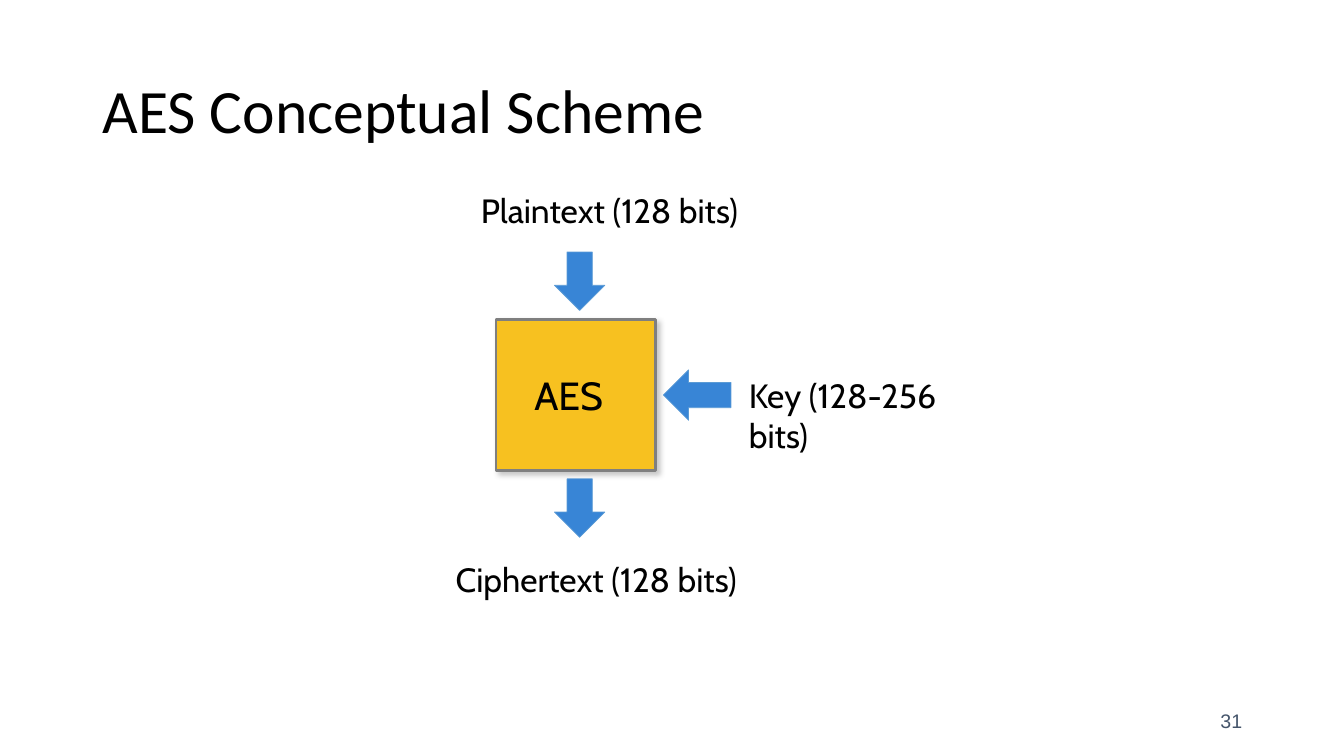
from lxml import etree
from pptx import Presentation
from pptx.dml.color import RGBColor
from pptx.enum.shapes import MSO_SHAPE as Shape
from pptx.enum.text import MSO_ANCHOR as Anchor, PP_ALIGN as Align
from pptx.oxml import parse_xml
from pptx.oxml.ns import nsdecls, qn
from pptx.util import Inches, Pt

BLACK = RGBColor(0x00, 0x00, 0x00)
SLATE = RGBColor(0x44, 0x54, 0x6A)
YELLOW = RGBColor(0xF7, 0xC1, 0x20)
GRAY = RGBColor(0x7F, 0x7F, 0x7F)
BLUE = RGBColor(0x38, 0x85, 0xD6)
LIGHT_BLUE = RGBColor(0x5B, 0x9B, 0xD5)

TITLE = ("AES Conceptual Scheme", (0.92, 0.4, 11.5, 1.45))
PAGE_NUMBER = ("31", (9.42, 6.95, 3, 0.4))
CIPHER = ("AES", (4.92, 3.17, 1.58, 1.5))
LABELS = [
    ("Plaintext (128 bits)", (4.67, 1.83, 2.78, 0.51)),
    ("Ciphertext (128 bits)", (4.42, 5.5, 3.19, 0.51)),
    ("Key (128-256 bits)", (7.33, 3.67, 2.71, 0.51)),
]
ARROWS = [
    (Shape.DOWN_ARROW, (5.5, 2.5, 0.5, 0.58)),
    (Shape.DOWN_ARROW, (5.5, 4.75, 0.5, 0.58)),
    (Shape.LEFT_ARROW, (6.58, 3.67, 0.67, 0.5)),
]


def write(shape, text, font, size, color=BLACK, align=Align.LEFT,
          anchor=Anchor.MIDDLE, wrap=True):
    frame = shape.text_frame
    frame.word_wrap = wrap
    frame.vertical_anchor = anchor
    paragraph = frame.paragraphs[0]
    paragraph.alignment = align
    run = paragraph.add_run()
    run.text = text
    run.font.name = font
    run.font.size = Pt(size)
    run.font.color.rgb = color
    return paragraph


def add_text(slide, box, *args, **options):
    shape = slide.shapes.add_textbox(*map(Inches, box))
    return write(shape, *args, **options)


def add_block(slide, kind, box, fill, line, width):
    shape = slide.shapes.add_shape(kind, *map(Inches, box))
    shape.shadow.inherit = False
    shape.fill.solid()
    shape.fill.fore_color.rgb = fill
    shape.line.color.rgb = line
    shape.line.width = Pt(width)
    return shape


def add_shadow(shape):
    effects = shape._element.spPr.find(qn("a:effectLst"))
    shadow = parse_xml(
        f'<a:outerShdw {nsdecls("a")} blurRad="{Pt(4)}" dist="{Pt(3)}" '
        'dir="2700000" algn="tl" rotWithShape="0"/>')
    color = etree.SubElement(shadow, qn("a:srgbClr"), val="808080")
    etree.SubElement(color, qn("a:alpha"), val="43000")
    effects.append(shadow)


def main():
    presentation = Presentation()
    presentation.slide_width = Inches(13.33)
    presentation.slide_height = Inches(7.5)
    slide = presentation.slides.add_slide(presentation.slide_layouts[6])

    text, box = TITLE
    add_text(slide, box, text, "Calibri", 44).line_spacing = 0.9
    text, box = PAGE_NUMBER
    add_text(slide, box, text, "Arial", 14, SLATE, Align.RIGHT)

    text, box = CIPHER
    cipher = add_block(slide, Shape.RECTANGLE, box, YELLOW, GRAY, 2)
    add_shadow(cipher)
    write(cipher, text, "Cabin", 28)
    cipher.text_frame.margin_left = Inches(0.38)

    for text, box in LABELS:
        add_text(slide, box, text, "Cabin", 24, anchor=Anchor.TOP, wrap=False)
    for kind, box in ARROWS:
        add_block(slide, kind, box, BLUE, LIGHT_BLUE, 0.5)

    presentation.save("out.pptx")


if __name__ == "__main__":
    main()
